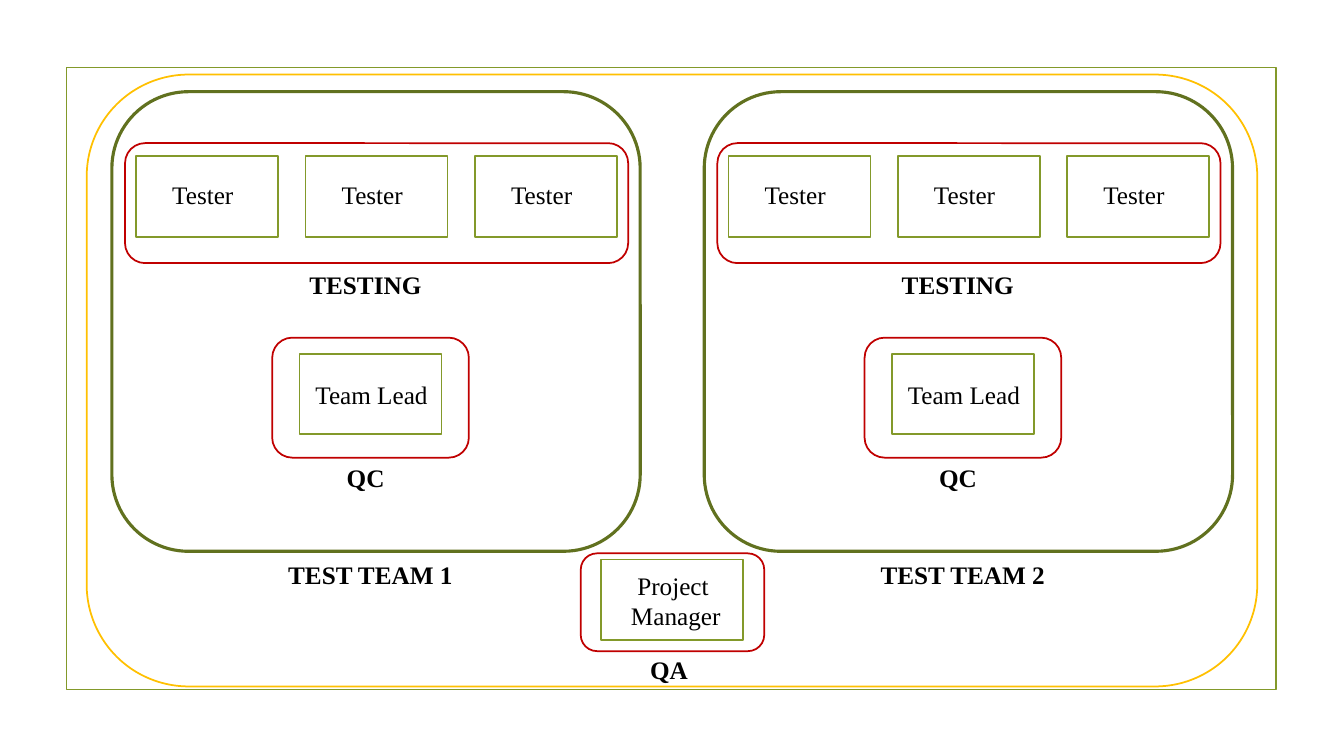
from dataclasses import dataclass

from pptx import Presentation
from pptx import util as u
from pptx.dml.color import RGBColor
from pptx.enum import shapes, text

CELL = 0.1  # grid cell in inches; every length below counts columns or rows


@dataclass(frozen=True)
class Theme:
    font: str = "Times New Roman"
    size: float = 18
    ink: str = "000000"
    paper: str = "FFFFFF"
    role: str = "83992A"
    team: str = "61711F"
    activity: str = "C00000"
    scope: str = "FFC000"
    thin: float = 1.25
    thick: float = 2.25


@dataclass(frozen=True)
class Box:
    left: float
    top: float
    width: float
    height: float

    def inner(self, left, top, width, height):
        """Box placed relative to this box's top left corner."""
        return Box(self.left + left, self.top + top, width, height)

    def lengths(self):
        return [u.Inches(cells * CELL)
                for cells in (self.left, self.top, self.width, self.height)]


THEME = Theme()
RECTANGLE = shapes.MSO_SHAPE.RECTANGLE
ROUNDED = shapes.MSO_SHAPE.ROUNDED_RECTANGLE


def add_outline(slide, box, color, kind=ROUNDED, weight=THEME.thin, fill=None):
    shape = slide.shapes.add_shape(kind, *box.lengths())
    shape.shadow.inherit = False
    if fill:
        shape.fill.solid()
        shape.fill.fore_color.rgb = RGBColor.from_string(fill)
    else:
        shape.fill.background()
    shape.line.color.rgb = RGBColor.from_string(color)
    shape.line.width = u.Pt(weight)


def add_text(slide, box, words, bold=False, size=THEME.size, color=THEME.ink):
    frame = slide.shapes.add_textbox(*box.lengths()).text_frame
    frame.word_wrap = True
    frame.auto_size = text.MSO_AUTO_SIZE.SHAPE_TO_FIT_TEXT
    run = frame.paragraphs[0].add_run()
    run.text = words
    run.font.name = THEME.font
    run.font.size = u.Pt(size)
    run.font.bold = bold
    run.font.color.rgb = RGBColor.from_string(color)


def add_label(slide, box, left, top, words):
    add_text(slide, box.inner(left, top, 43.5, 4), words, bold=True)


def add_role(slide, box, words, text_box):
    """White card for one role, with its name placed inside the card."""
    add_outline(slide, box, THEME.role, RECTANGLE, fill=THEME.paper)
    add_text(slide, box.inner(*text_box), words)


def add_team(slide, box, name):
    add_outline(slide, box, THEME.team, weight=THEME.thick)
    add_label(slide, box, 16.5, 45.9, name)

    # Testing: three testers at an equal pitch
    for index in range(3):
        tester = box.inner(2.4 + 16.8 * index, 6.4, 14.1, 8)
        add_role(slide, tester, "Tester", (2.6, 1.8, 12.5, 4))
    add_outline(slide, box.inner(1.3, 5.1, 49.9, 11.9), THEME.activity)
    add_label(slide, box, 18.6, 17.1, "TESTING")

    # Quality control: the team lead
    add_role(slide, box.inner(18.6, 26, 14.1, 8), "Team Lead", (0.6, 2, 15.1, 4))
    add_outline(slide, box.inner(15.9, 24.4, 19.5, 11.9), THEME.activity)
    add_label(slide, box, 22.3, 36.3, "QC")


def add_management(slide, box):
    add_role(slide, box.inner(2, 0.6, 14.1, 8), " Project Manager", (2, 0.6, 15.1, 7.1))
    add_outline(slide, box, THEME.activity)
    add_label(slide, box, 5.9, 9.5, "QA")


def build_slide(presentation):
    slide = presentation.slides.add_slide(presentation.slide_layouts[6])
    # Slide frame
    add_outline(slide, Box(6.6, 6.7, 120, 61.7), THEME.role, RECTANGLE)
    # Two equal teams
    for index in range(2):
        team = Box(11.1 + 58.75 * index, 9.1, 52.4, 45.6)
        add_team(slide, team, f"TEST TEAM {index + 1}")
    # Quality assurance surrounds both teams
    add_outline(slide, Box(8.6, 7.4, 116.1, 60.7), THEME.scope)
    add_management(slide, Box(57.6, 54.9, 18.2, 9.7))


def main():
    presentation = Presentation()
    presentation.slide_width = u.Inches(13.33)
    presentation.slide_height = u.Inches(7.5)
    build_slide(presentation)
    presentation.save("out.pptx")


if __name__ == "__main__":
    main()
